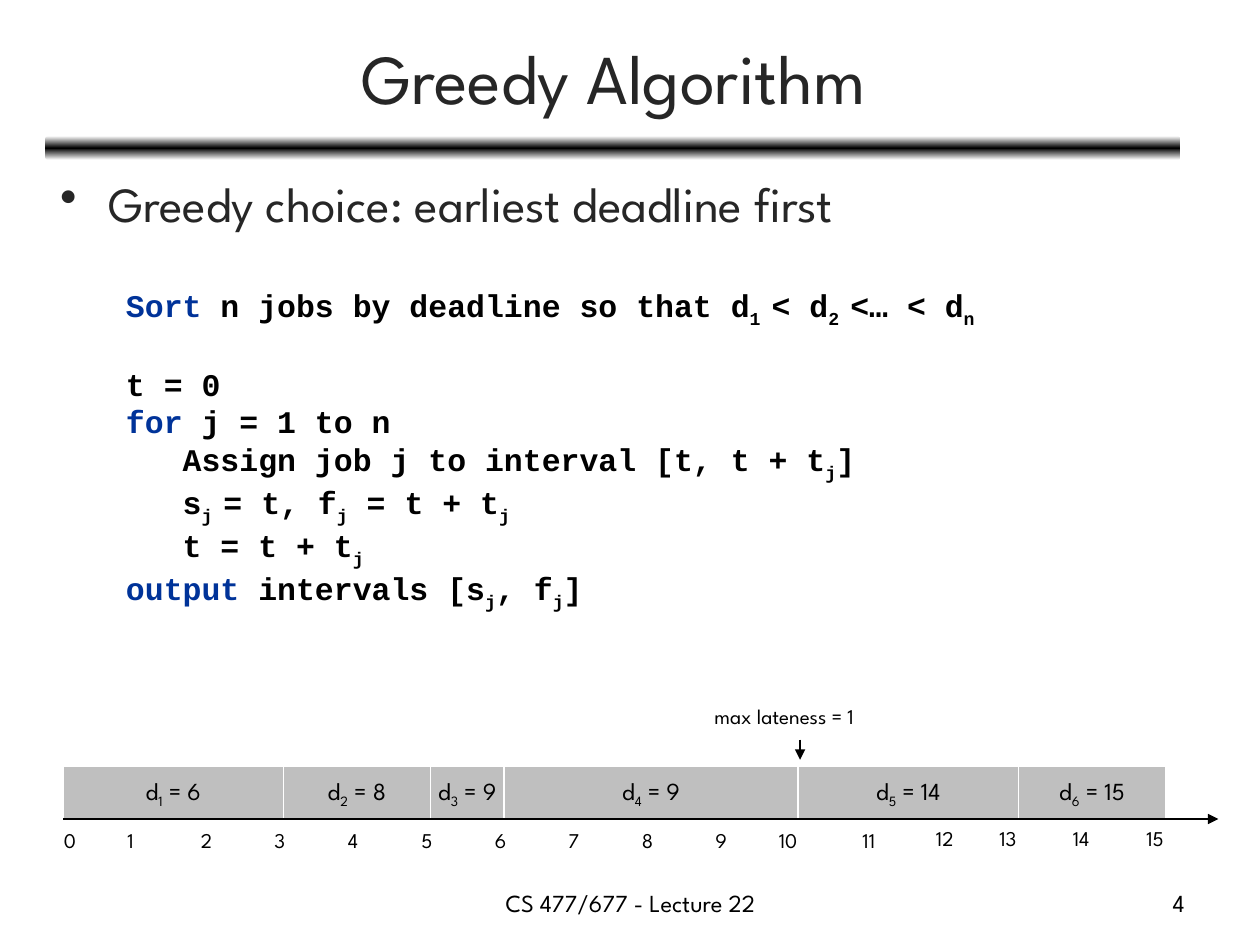
import pptx
import pptx.util
import pptx.dml.color
import pptx.enum.shapes
import pptx.enum.text
import pptx.oxml.ns
import lxml.etree

SHAPE = pptx.enum.shapes.MSO_SHAPE
ALIGN = pptx.enum.text.PP_ALIGN
ANCHOR = pptx.enum.text.MSO_ANCHOR
qn = pptx.oxml.ns.qn
inches = pptx.util.Inches

# Text between underscores is subscript.
TITLE = "Greedy Algorithm"
BULLET = "Greedy choice: earliest deadline first"
KEYWORDS = ("Sort", "for", "output")
CODE = [
    "Sort n jobs by deadline so that d_1 _< d_2 _<… < d_n_",
    "t = 0",
    "for j = 1 to n",
    "   Assign job j to interval [t, t + t_j_]",
    "   s_j _= t, f_j_ = t + t_j_",
    "   t = t + t_j_",
    "output intervals [s_j_, f_j_]",
]
JOBS = [(3, 6), (2, 8), (1, 9), (4, 9), (3, 14), (2, 15)]  # duration, deadline
LATENESS = "max lateness = 1"
FOOTER, PAGE_NUMBER = "CS 477/677 - Lecture 22", "4"

SANS, MONO = "League Spartan", "Courier New"
BLACK, DARK, BLUE, GREY, WHITE = "000000", "262626", "003399", "BFBFBF", "FFFFFF"
UNIT = 7 / 12  # width of one time step
AXIS_LEFT, AXIS_TOP, BAR_HEIGHT = 0.5, 6.5, 0.42
LABEL_SHIFT = {0: 0.08, 10: -0.08, 13: -0.08, 14: -0.08, 15: -0.08}


def rgb(value):
    return pptx.dml.color.RGBColor.from_string(value)


def set_all(target, values):
    for name, value in values.items():
        setattr(target, name, value)


def add_spans(para, text, size, font=SANS, color=BLACK, bold=False):
    for index, piece in enumerate(text.split("_")):
        if not piece:
            continue
        span = para.add_run()
        span.text = piece
        set_all(span.font, {"size": pptx.util.Pt(size), "name": font, "bold": bold})
        span.font.color.rgb = rgb(color)
        if index % 2:
            span.font._element.set("baseline", "-25000")


def add_text(page, place, text, size, align=ALIGN.LEFT, color=BLACK, **frame_format):
    box = page.shapes.add_textbox(*map(inches, place))
    set_all(box.text_frame, {"word_wrap": True, **frame_format})
    para = box.text_frame.paragraphs[0]
    para.alignment = align
    if text:
        add_spans(para, text, size, color=color)
    return box


def add_bullet(para, indent):
    props = para._p.get_or_add_pPr()
    props.set("marL", str(inches(indent)))
    props.set("indent", str(-inches(indent)))
    lxml.etree.SubElement(props, qn("a:buChar")).set("char", "•")


def add_arrow(page, start, end, width):
    arrow = page.shapes.add_connector(
        pptx.enum.shapes.MSO_CONNECTOR.STRAIGHT, *map(inches, start + end))
    arrow.line.color.rgb = rgb(BLACK)
    arrow.line.width = pptx.util.Pt(width)
    lxml.etree.SubElement(arrow.line._get_or_add_ln(), qn("a:tailEnd")).set("type", "triangle")
    lxml.etree.SubElement(arrow._element.spPr, qn("a:effectLst"))


def add_rule(page):
    """Draw the bar under the title, fading to white above and below."""
    rule = page.shapes.add_shape(SHAPE.ROUNDED_RECTANGLE, *map(inches, (0.36, 1.08, 9.01, 0.19)))
    rule.shadow.inherit = False
    rule.line.fill.background()
    rule.fill.gradient()
    rule.fill.gradient_angle = 90
    stops = next(rule._element.iter(qn("a:gsLst")))
    for stop in list(stops):
        stops.remove(stop)
    for share, color in ((0, WHITE), (50, BLACK), (100, WHITE)):
        stop = lxml.etree.SubElement(stops, qn("a:gs"))
        stop.set("pos", str(share * 1000))
        lxml.etree.SubElement(stop, qn("a:srgbClr")).set("val", color)


def add_code(page):
    box = add_text(page, (0.8, 2.17, 7.7, 2.63), "", 18, margin_left=inches(0.2),
                   margin_right=inches(0.15), margin_top=inches(0.1), margin_bottom=inches(0.1))
    for index, line in enumerate(CODE):
        para = box.text_frame.add_paragraph() if index else box.text_frame.paragraphs[0]
        if index == 1:
            para.space_before = pptx.util.Pt(20.4)
        word = line.split(" ")[0]
        if word in KEYWORDS:
            add_spans(para, word, 18, MONO, BLUE, True)
            line = line[len(word):]
        add_spans(para, line, 18, MONO, BLACK, True)


def add_timeline(page):
    for time in range(sum(duration for duration, _ in JOBS) + 1):
        left = AXIS_LEFT - 0.17 + time * UNIT + LABEL_SHIFT.get(time, 0)
        top = AXIS_TOP + (0.02 if time < 12 else 0)
        add_text(page, (left, top, 0.5, 0.3), str(time), 12)
    start = 0
    for number, (duration, deadline) in enumerate(JOBS, 1):
        place = (AXIS_LEFT + start * UNIT, AXIS_TOP - BAR_HEIGHT, duration * UNIT, BAR_HEIGHT)
        bar = page.shapes.add_shape(SHAPE.RECTANGLE, *map(inches, place))
        bar.shadow.inherit = False
        bar.fill.solid()
        bar.fill.fore_color.rgb = rgb(GREY)
        bar.line.color.rgb = rgb(WHITE)
        bar.line.width = pptx.util.Pt(0.75)
        set_all(bar.text_frame, {"word_wrap": False, "vertical_anchor": ANCHOR.MIDDLE})
        para = bar.text_frame.paragraphs[0]
        para.alignment = ALIGN.CENTER
        add_spans(para, f"d_{number}_ = {deadline}", 14)
        start += duration
    add_arrow(page, (AXIS_LEFT, AXIS_TOP), (9.67, AXIS_TOP), 0.75)
    add_text(page, (5.67, 5.58, 1.35, 0.2), LATENESS, 12, word_wrap=False,
             margin_left=0, margin_right=0, margin_top=0, margin_bottom=0)
    add_arrow(page, (6.35, 5.87), (6.35, 6.03), 1.25)


def main():
    deck = pptx.Presentation()
    set_all(deck, {"slide_width": inches(10), "slide_height": inches(7.5)})
    page = deck.slides.add_slide(deck.slide_layouts[6])
    add_rule(page)
    add_text(page, (0.37, 0.11, 9, 0.99), TITLE, 40, ALIGN.CENTER, DARK,
             vertical_anchor=ANCHOR.MIDDLE)
    body = add_text(page, (0.38, 1.33, 9, 5.55), BULLET, 28, color=DARK)
    add_bullet(body.text_frame.paragraphs[0], 0.38)
    add_timeline(page)
    add_code(page)
    add_text(page, (3.42, 7, 3.17, 0.35), FOOTER, 14, ALIGN.CENTER)
    add_text(page, (7.17, 7, 2.33, 0.35), PAGE_NUMBER, 14, ALIGN.RIGHT)
    deck.save("out.pptx")


if __name__ == "__main__":
    main()
